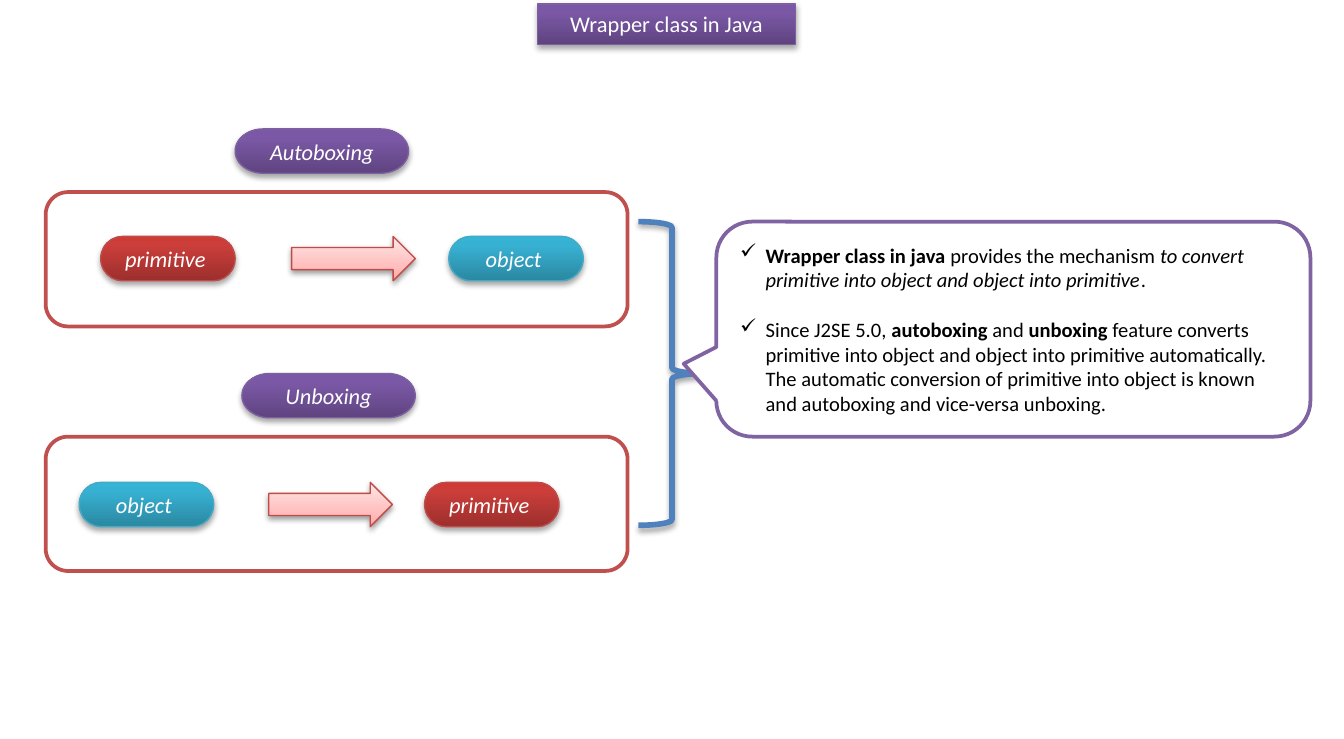
import pptx
import pptx.util
import pptx.oxml
import pptx.oxml.ns
import pptx.dml.color
import pptx.enum.shapes
import pptx.enum.text
import lxml.etree

Inches = pptx.util.Inches
Pt = pptx.util.Pt
Kind = pptx.enum.shapes.MSO_SHAPE
Anchor = pptx.enum.text.MSO_ANCHOR
Align = pptx.enum.text.PP_ALIGN

HUES = {
    "white": "FFFFFF", "black": "000000", "frame": "C0504D",
    "brace": "4F81BD", "note": "8064A2",
    "purple": "7D60A0", "red": "BF4C48", "teal": "46AAC5",
}
FADES = {
    "purple": [(0, "5F4480"), (80, "7B58A6"), (100, "7C57A8")],
    "red": [(0, "9C2F2D"), (80, "CB3E3A"), (100, "CE3B37")],
    "teal": [(0, "2A88A2"), (80, "37B1D2"), (100, "34B4D6")],
    "pink": [(0, "FFA6A5"), (35, "FFC0BF"), (100, "FFE7E7")],
}


def rgb(hue):
    return pptx.dml.color.RGBColor.from_string(HUES[hue])


def add(node, tag, **attrs):
    child = lxml.etree.SubElement(node, pptx.oxml.ns.qn(tag))
    for key, value in attrs.items():
        child.set(key, str(value))
    return child


class Deck:
    font = "Calibri"

    def __init__(self, width, height):
        self.show = pptx.Presentation()
        self.show.slide_width = Inches(width)
        self.show.slide_height = Inches(height)
        self.slide = self.show.slides.add_slide(self.show.slide_layouts[6])

    def shape(self, kind, box, line, weight, fill=None):
        item = self.slide.shapes.add_shape(kind, *map(Inches, box))
        item.shadow.inherit = False
        item.line.color.rgb = rgb(line)
        item.line.width = Pt(weight)
        if fill:
            item.fill.solid()
            item.fill.fore_color.rgb = rgb(fill)
        else:
            item.fill.background()
        return item

    def fade(self, item, name):
        item.fill.gradient()
        item.fill.gradient_angle = 90
        stops = item._element.spPr.find(".//" + pptx.oxml.ns.qn("a:gsLst"))
        for stop in list(stops):
            stops.remove(stop)
        for place, hue in FADES[name]:
            stop = add(stops, "a:gs", pos=place * 1000)
            add(stop, "a:srgbClr", val=hue)

    def shade(self, item, dist=1.8, alpha=35):
        effects = item._element.spPr.find(pptx.oxml.ns.qn("a:effectLst"))
        outer = add(effects, "a:outerShdw", blurRad=Pt(3.1), dist=Pt(dist),
                    dir=5400000, rotWithShape=0)
        hue = add(outer, "a:srgbClr", val=HUES["black"])
        add(hue, "a:alpha", val=alpha * 1000)

    def run(self, para, text, size, hue, bold=False, italic=False):
        run = para.add_run()
        run.text = text
        font = run.font
        font.name, font.size = self.font, Pt(size)
        font.bold, font.italic = bold, italic
        font.color.rgb = rgb(hue)

    def label(self, kind, box, text, hue, italic=True, anchor=Anchor.MIDDLE):
        item = self.shape(kind, box, hue, 0.75)
        self.fade(item, hue)
        self.shade(item)
        frame = item.text_frame
        frame.word_wrap = True
        frame.vertical_anchor = anchor
        para = frame.paragraphs[0]
        para.alignment = Align.CENTER
        self.run(para, text, 12, "white", italic=italic)

    def pill(self, left, top, width, text, hue):
        self.label(Kind.FLOWCHART_TERMINATOR, (left, top, width, 0.33), text, hue)

    def panel(self, top):
        self.shape(Kind.ROUNDED_RECTANGLE, (0.34, top, 4.33, 1),
                   "frame", 2, "white")

    def arrow(self, left, top):
        item = self.shape(Kind.RIGHT_ARROW, (left, top, 0.92, 0.33), "red", 0.75)
        self.fade(item, "pink")
        self.shade(item, 1.6, 38)

    def brace(self, box):
        self.shade(self.shape(Kind.RIGHT_BRACE, box, "brace", 3))

    def note(self, box, points):
        item = self.shape(Kind.ROUNDED_RECTANGULAR_CALLOUT, box, "note", 2, "white")
        for slot, value in enumerate((-0.555, 0.161, 0.167)):
            item.adjustments[slot] = value
        frame = item.text_frame
        frame.word_wrap = True
        frame.vertical_anchor = Anchor.MIDDLE
        for rank, parts in enumerate(points):
            para = frame.add_paragraph() if rank else frame.paragraphs[0]
            para.alignment = Align.LEFT
            if rank:
                para.space_before = Pt(13.4)
            props = para._p.get_or_add_pPr()
            props.set("marL", str(Inches(0.19)))
            props.set("indent", str(Inches(-0.19)))
            add(props, "a:buChar", char="✓")
            for text, look in parts:
                self.run(para, text, 11, "black", look == "b", look == "i")


def main():
    deck = Deck(10, 5.5)
    deck.label(Kind.RECTANGLE, (4, 0.03, 1.92, 0.3), "Wrapper class in Java",
               "purple", False, Anchor.TOP)
    hues = {"primitive ": "red", "object ": "teal"}
    flows = [
        ("Autoboxing", 1.75, 0.96, 1.43, 1.76, 2.17,
         [("primitive ", 0.75), ("object ", 3.34)]),
        ("Unboxing", 1.8, 2.78, 3.25, 3.59, 2,
         [("object ", 0.59), ("primitive ", 3.16)]),
    ]
    for name, left, top, panel, row, arrow, ends in flows:
        deck.panel(panel)
        deck.pill(left, top, 1.29, name, "purple")
        for text, place in ends:
            deck.pill(place, row, 1, text, hues[text])
        deck.arrow(arrow, row)
    deck.brace((4.75, 1.65, 0.5, 2.26))
    deck.note((5.33, 1.65, 4.42, 1.6), [
        [("Wrapper class in java", "b"),
         (" provides the mechanism ", ""),
         ("to convert primitive into object and object into primitive", "i"),
         (".", "")],
        [("Since J2SE 5.0, ", ""), ("autoboxing", "b"), (" and ", ""),
         ("unboxing", "b"),
         (" feature converts primitive into object and object into primitive "
          "automatically. The automatic conversion of primitive into object is "
          "known and autoboxing and vice-versa unboxing.", "")],
    ])
    deck.show.save("out.pptx")


if __name__ == "__main__":
    main()
